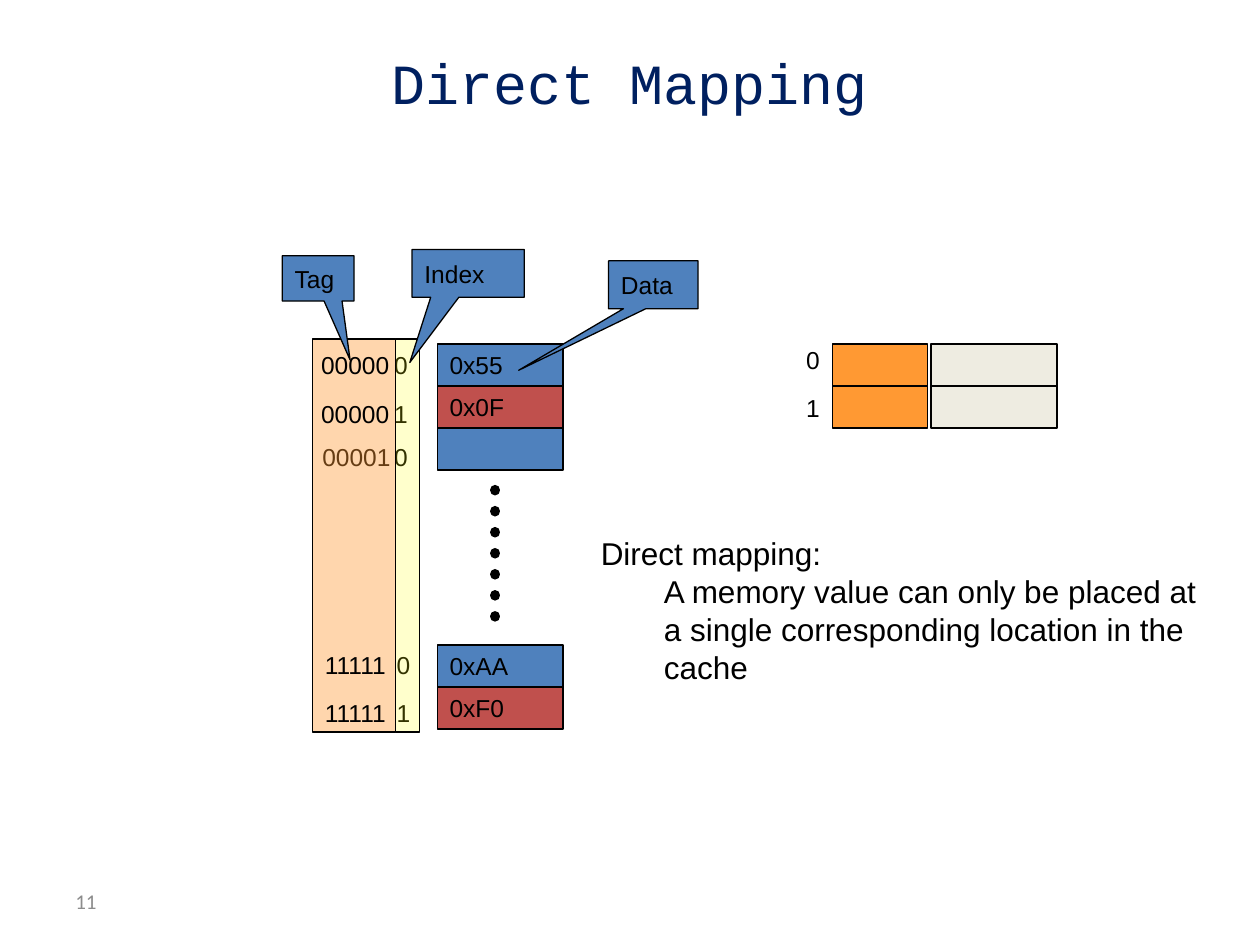
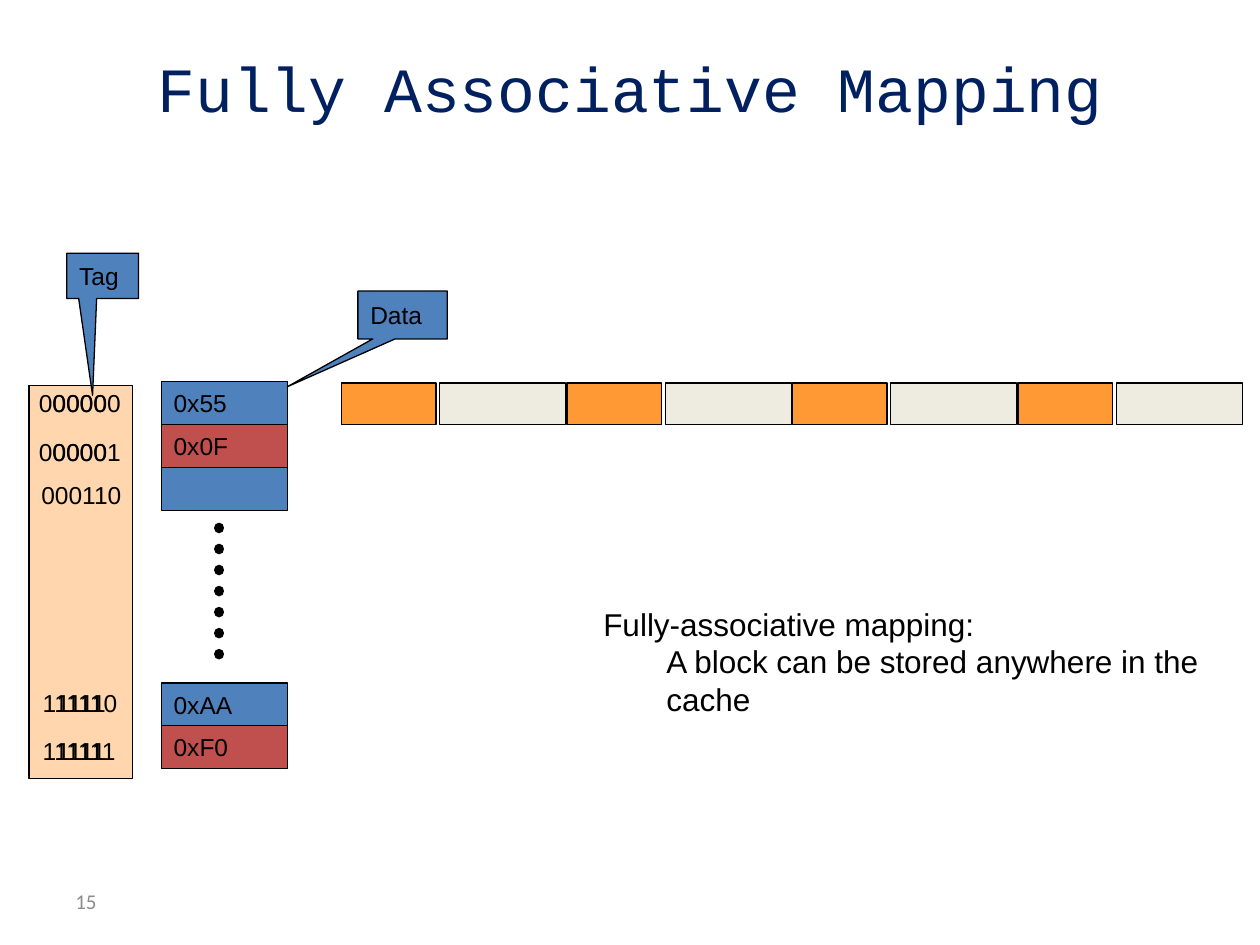
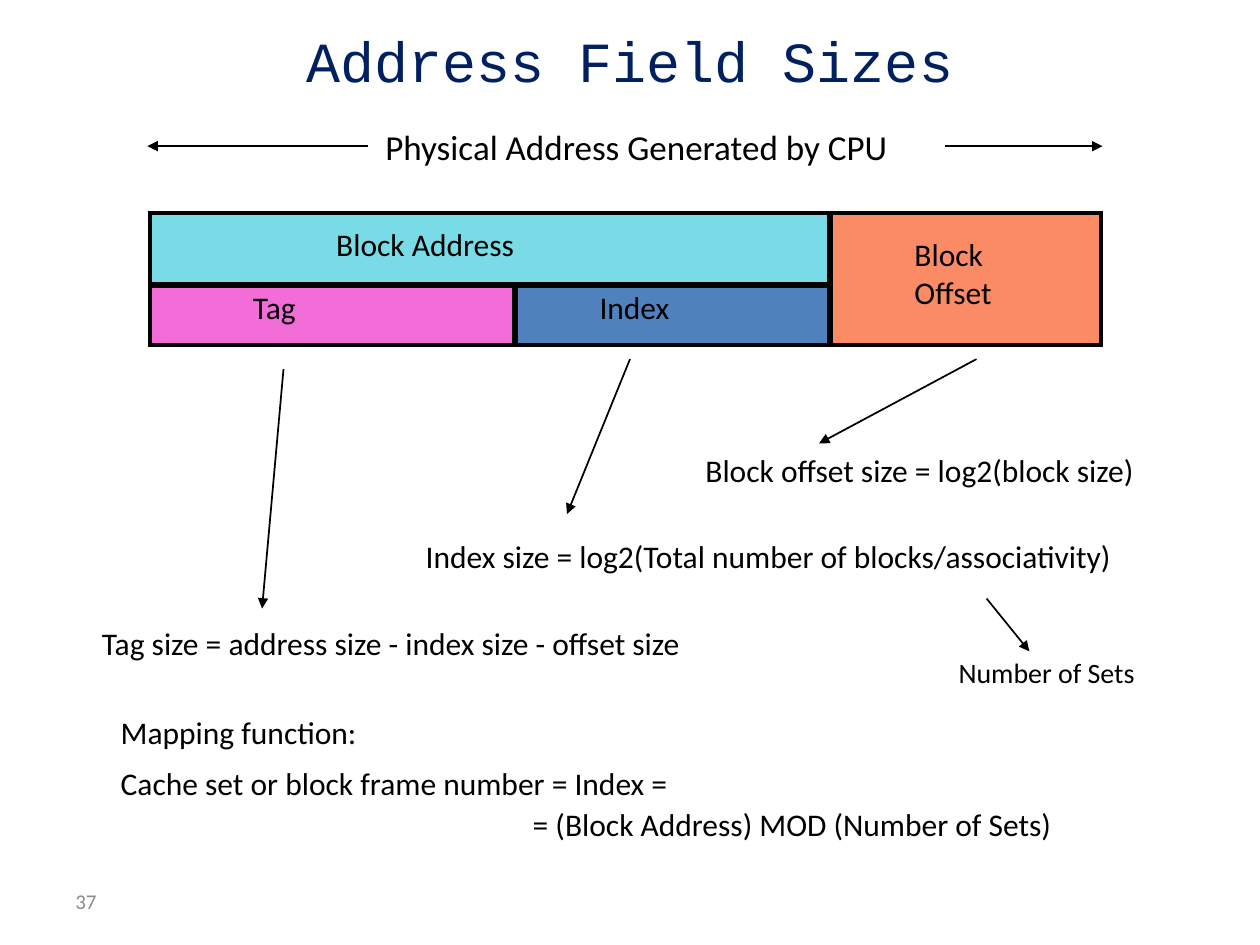
"""Build three slides on cache mapping and address fields."""
from pptx import Presentation
from pptx.dml.color import RGBColor
from pptx.enum.dml import MSO_LINE
from pptx.enum.shapes import MSO_CONNECTOR, MSO_SHAPE
from pptx.enum.text import MSO_ANCHOR, MSO_AUTO_SIZE, PP_ALIGN
from pptx.oxml.ns import qn
from pptx.util import Pt
from lxml import etree

RECT, CALLOUT = MSO_SHAPE.RECTANGLE, MSO_SHAPE.RECTANGULAR_CALLOUT
STRAIGHT, ROUND_DOT = MSO_CONNECTOR.STRAIGHT, MSO_LINE.ROUND_DOT
TOP, MIDDLE = MSO_ANCHOR.TOP, MSO_ANCHOR.MIDDLE
LEFT, CENTER = PP_ALIGN.LEFT, PP_ALIGN.CENTER
NO_FIT = MSO_AUTO_SIZE.NONE


class Theme:
    """Colours, fonts and type sizes."""
    ink, navy, grey = "000000", "002060", "8C8C8C"
    blue, red, orange, cream = "4F81BD", "C0504D", "FF9933", "EEECE1"
    yellow, white = "FFFF00", "FFFFFF"
    cyan, pink, coral = "79DBE6", "F26DD7", "FA8B65"
    sans, body, mono = "Arial", "Calibri", "Courier New"
    number, cell, note, text, lead = 12, 14, 16, 18, 20


prs = Presentation()
prs.slide_width, prs.slide_height = Pt(720), Pt(540)
COL, ROW = prs.slide_width / 10, prs.slide_height / 7.5


def box(slide, x, y, w, h, *lines, kind=None, fill=None, alpha=None, border=0.75,
        font=Theme.sans, size=Theme.cell, color=Theme.ink, anchor=TOP, wrap=True):
    """Add a filled shape, or a text box when no kind is given."""
    place = [int(v) for v in (x * COL, y * ROW, w * COL, h * ROW)]
    if kind is None:
        shape = slide.shapes.add_textbox(*place)
    else:
        shape = slide.shapes.add_shape(kind, *place)
        shape.shadow.inherit = False
        shape.fill.solid()
        shape.fill.fore_color.rgb = RGBColor.from_string(fill)
        if alpha:
            tint = shape._element.spPr.find(".//" + qn("a:srgbClr"))
            etree.SubElement(tint, qn("a:alpha"), val=str(alpha * 1000))
        shape.line.color.rgb = RGBColor.from_string(Theme.ink)
        shape.line.width = Pt(border)
        anchor = MIDDLE
    frame = shape.text_frame
    frame.word_wrap, frame.vertical_anchor = wrap, anchor
    for i, line in enumerate(lines):
        paragraph = frame.add_paragraph() if i else frame.paragraphs[0]
        paragraph.alignment = LEFT
        run = paragraph.add_run()
        run.text = line
        run.font.name, run.font.size = font, Pt(size)
        run.font.color.rgb = RGBColor.from_string(color)
    return shape


def link(slide, x1, y1, x2, y2, dotted=False):
    """Add an arrow, or a row of round dots."""
    line = slide.shapes.add_connector(
        STRAIGHT, int(x1 * COL), int(y1 * ROW), int(x2 * COL), int(y2 * ROW))
    line.line.color.rgb = RGBColor.from_string(Theme.ink)
    line.line.width = Pt(6 if dotted else 1)
    props = line._element.spPr
    outline = props.find(qn("a:ln"))
    if dotted:
        line.line.dash_style = ROUND_DOT
        outline.set("cap", "rnd")
    else:
        etree.SubElement(outline, qn("a:tailEnd"), type="triangle")
    etree.SubElement(props, qn("a:effectLst"))


slides = []
for heading, page, x, y, h, size in [
    ("Direct Mapping", "11", 0.5, 0.3, 0.7, 32.4),
    ("Fully Associative Mapping", "15", 0.5, 0.3, 0.78, 36),
    ("Address Field Sizes", "37", 0.75, 0.17, 0.61, 32.4),
]:
    slide = prs.slides.add_slide(prs.slide_layouts[5])
    title = slide.shapes.title
    title.left, title.top = int(x * COL), int(y * ROW)
    title.width, title.height = int((10 - 2 * x) * COL), int(h * ROW)
    title.text_frame.auto_size, title.text_frame.vertical_anchor = NO_FIT, MIDDLE
    title.text_frame.paragraphs[0].alignment = CENTER
    run = title.text_frame.paragraphs[0].add_run()
    run.text = heading
    run.font.name, run.font.size = Theme.mono, Pt(size)
    run.font.color.rgb = RGBColor.from_string(Theme.navy)
    box(slide, 0.5, 6.95, 2.33, 0.4, page, font=Theme.body, size=Theme.number,
        color=Theme.grey, anchor=MIDDLE)
    slides.append(slide)
direct, associative, fields = slides

CELL_H, TAG_W, DATA_W, CACHE_STEP = 0.33, 0.75, 1, 0.78
ADDRESS_ROWS = (0, 0.39, 0.73, 2.38, 2.76)
DIRECT_TOP, ASSOC_TOP = 2.73, 3.03

tags = list(zip(ADDRESS_ROWS, ("00000", "00000", "00001", "11111", "11111"),
                (2.45, 2.45, 2.46, 2.48, 2.48)))
for offset, bit, x in zip(ADDRESS_ROWS, "01001", (3.03, 3.03, 3.03, 3.05, 3.05)):
    box(direct, x, DIRECT_TOP + offset, 0.31, CELL_H, bit, wrap=False)
shaded_tag = tags.pop(2)
box(direct, shaded_tag[2], DIRECT_TOP + shaded_tag[0], 0.74, CELL_H, shaded_tag[1],
    wrap=False)
box(direct, 3.14, 2.69, 0.19, 3.12, kind=RECT, fill=Theme.yellow, alpha=20)
box(direct, 2.48, 2.69, 0.66, 3.12, kind=RECT, fill=Theme.orange, alpha=40)
for offset, tag, x in tags:
    box(direct, x, DIRECT_TOP + offset, 0.74, CELL_H, tag, wrap=False)

for row in range(2):
    y = DIRECT_TOP + row / 3
    box(direct, 6.61, y, TAG_W, 1 / 3, kind=RECT, fill=Theme.orange)
    box(direct, 6.61 + CACHE_STEP, y, DATA_W, 1 / 3, kind=RECT, fill=Theme.cream)
    box(direct, 6.3, 2.69 + row * 0.38, 0.31, CELL_H, str(row), wrap=False)

box(associative, 0.23, 3.06, 0.82, 3.12, kind=RECT, fill=Theme.orange, alpha=40)
for offset, address, x in zip(
        ADDRESS_ROWS, ("000000", "000001", "000110", "111110", "111111"),
        (0.21, 0.21, 0.23, 0.24, 0.24)):
    y = ASSOC_TOP + offset
    box(associative, x, y, 0.9, CELL_H, address)
    if address != "000110":
        box(associative, x + 0.11, y, 0.75, CELL_H, address[:4])
for block in range(4):
    x = 2.71 + block * 1.79
    box(associative, x, 3.04, TAG_W, CELL_H, kind=RECT, fill=Theme.orange)
    box(associative, x + CACHE_STEP, 3.04, DATA_W, CELL_H, kind=RECT, fill=Theme.cream)

for slide, x, top, row_h in [(direct, 3.47, DIRECT_TOP, 1 / 3),
                             (associative, 1.28, ASSOC_TOP, 0.34)]:
    for start, values in [(0, ("0x55", "0x0F", "")), (2.39, ("0xAA", "0xF0"))]:
        for row, value in enumerate(values):
            box(slide, x, top + start + row * row_h, DATA_W, row_h,
                *([value] if value else []), kind=RECT,
                fill=Theme.red if row % 2 else Theme.blue)
    link(slide, x + 0.46, top + 1.16, x + 0.46, top + 2.19, dotted=True)

for slide, label, x, y, w, h, tip in [
    (direct, "Tag", 2.24, 2.03, 0.57, 0.36, (0.445, 1.798)),
    (direct, "Index", 3.27, 1.98, 0.89, 0.38, (-0.52, 1.861)),
    (direct, "Data", 4.83, 2.07, 0.71, 0.38, (-1.505, 1.787)),
    (associative, "Tag", 0.53, 2.01, 0.57, 0.36, (-0.14, 2.635)),
    (associative, "Data", 2.84, 2.31, 0.71, 0.38, (-1.29, 1.5)),
]:
    callout = box(slide, x, y, w, h, label, kind=CALLOUT, fill=Theme.blue)
    callout.adjustments[0], callout.adjustments[1] = tip

indented = []
for slide, x, y, h, term, meaning in [
    (direct, 4.67, 4.19, 1.3, "Direct mapping:",
     "A memory value can only be placed at a single corresponding location in the cache"),
    (associative, 4.69, 4.75, 1, "Fully-associative mapping:",
     "A block can be stored anywhere in the cache"),
]:
    definition = box(slide, x, y, 5, h, term, meaning, size=Theme.text)
    indented.append((definition.text_frame.paragraphs[1], 0.5))

for x, y, w, h, fill, border in [
    (1.18, 1.68, 7.57, 1.07, Theme.white, 1),
    (6.6, 1.69, 2.14, 1.05, Theme.coral, 2),
    (1.19, 1.69, 5.39, 0.56, Theme.cyan, 2),
    (4.1, 2.27, 2.48, 0.47, Theme.blue, 2),
    (1.19, 2.27, 2.89, 0.47, Theme.pink, 2),
]:
    box(fields, x, y, w, h, kind=RECT, fill=fill, border=border)

for x, y, w, h, size, *lines in [
    (2.57, 1.74, 2.27, 0.5, Theme.text, "Block Address"),
    (7.16, 1.82, 1.07, 0.9, Theme.text, "Block", "Offset"),
    (1.91, 2.24, 0.76, 0.5, Theme.text, "Tag"),
    (4.66, 2.24, 1.02, 0.5, Theme.text, "Index"),
    (3.28, 4.21, 6.01, 0.4, Theme.text,
     "Index size = log2(Total number of blocks/associativity)"),
    (0.71, 4.9, 5.09, 0.4, Theme.text,
     "Tag size = address size - index size - offset size"),
    (2.96, 0.95, 4.55, 0.43, Theme.lead, "Physical Address Generated by CPU"),
    (7.51, 5.15, 1.67, 0.37, Theme.note, "Number of Sets"),
]:
    box(fields, x, y, w, h, *lines, font=Theme.body, size=size)

offset_size = box(fields, 5, 3.53, 4.42, 0.4, "Block offset size = log2(block size)",
                  font=Theme.body, size=Theme.text)
mapping = box(fields, 0.86, 5.61, 8.43, 1.14, "Mapping function:",
              "Cache set or block frame number = Index =",
              "= (Block Address) MOD (Number of Sets)",
              font=Theme.body, size=Theme.text)
_, set_number, modulo = mapping.text_frame.paragraphs
set_number.space_before, modulo.space_before = Pt(7.5), Pt(2)
indented += [(offset_size.text_frame.paragraphs[0], 0.5), (modulo, 3.27)]
for paragraph, columns in indented:
    margins = paragraph._p.get_or_add_pPr()
    margins.set("marL", str(int(columns * COL)))
    margins.set("indent", "0")

for ends in [
    (2.25, 2.93, 2.08, 4.83), (5, 2.85, 4.5, 4.08), (7.75, 2.85, 6.5, 3.52),
    (2.92, 1.16, 1.17, 1.16), (7.5, 1.16, 8.75, 1.16), (7.83, 4.75, 8.17, 5.17),
]:
    link(fields, *ends)

prs.save("out.pptx")
